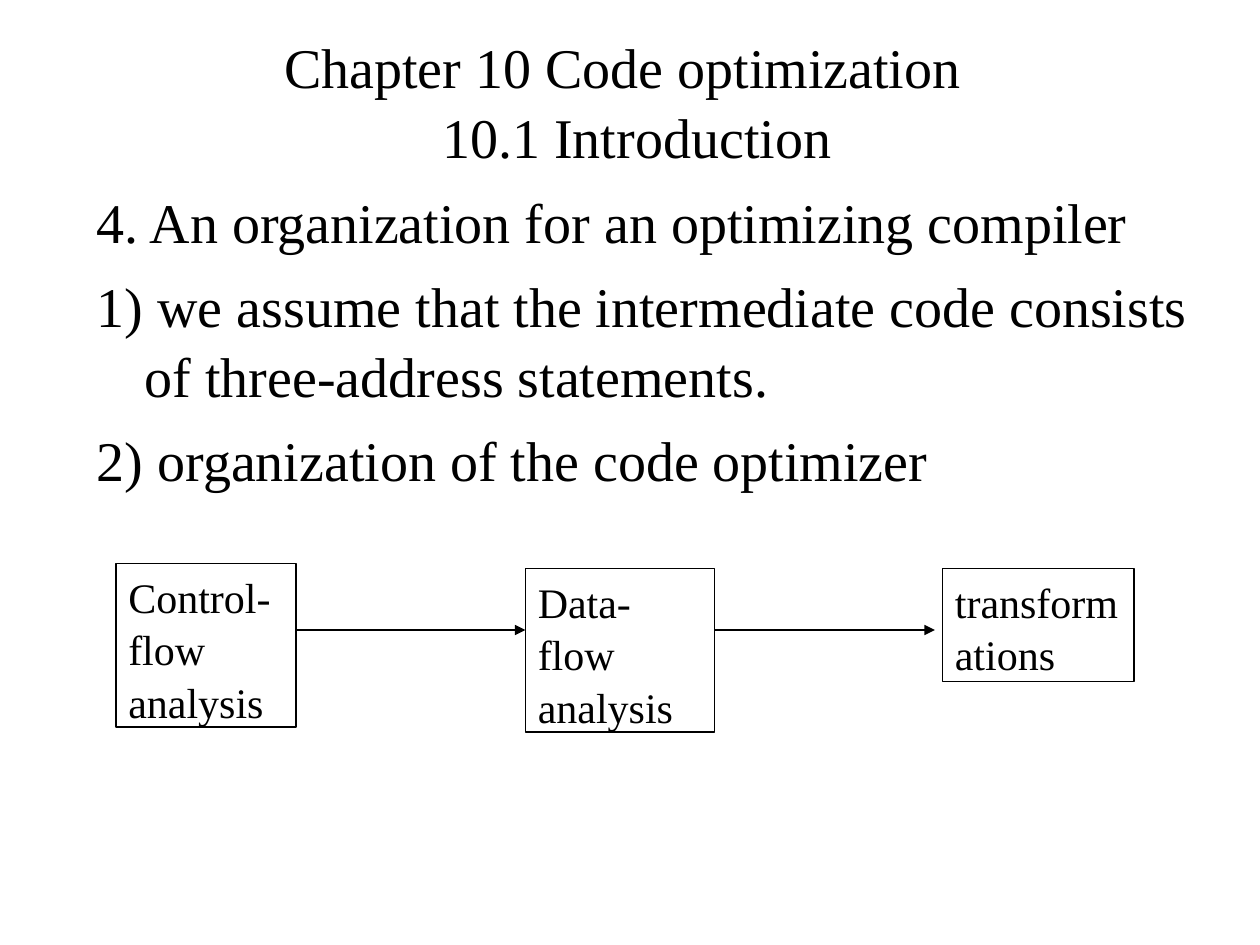
from typing import NamedTuple

from lxml.etree import SubElement
from pptx import Presentation
from pptx.dml.color import RGBColor
from pptx.enum.shapes import MSO_CONNECTOR, MSO_SHAPE
from pptx.enum.text import MSO_ANCHOR, MSO_AUTO_SIZE, PP_ALIGN
from pptx.oxml.ns import qn
from pptx.util import Inches, Pt

COLORS = {"ink": "000000", "paper": "FFFFFF"}
FONT = "Times New Roman"
LINE_SPACING = 1.04
ARROW_Y = 5
BODY = [
    "4. An organization for an optimizing compiler",
    "1) we assume that the intermediate code consists of three-address statements.",
    "2) organization of the code optimizer",
]


class Stage(NamedTuple):
    text: str
    left: float
    top: float
    width: float
    height: float


class Arrow(NamedTuple):
    start: float
    end: float


STAGES = [
    Stage("Control-flow analysis", 0.92, 4.47, 1.43, 1.3),
    Stage("Data-flow analysis", 4.17, 4.51, 1.5, 1.3),
    Stage("transformations", 7.48, 4.51, 1.52, 0.9),
]
ARROWS = [Arrow(2.35, 4.17), Arrow(5.67, 7.42)]


def color(name: str) -> RGBColor:
    return RGBColor.from_string(COLORS[name])


def format_text(frame, size: float, align=PP_ALIGN.LEFT, anchor=MSO_ANCHOR.TOP) -> None:
    frame.word_wrap = True
    frame.auto_size = MSO_AUTO_SIZE.NONE
    frame.vertical_anchor = anchor
    for para in frame.paragraphs:
        para.alignment = align
        para.line_spacing = LINE_SPACING
        for span in para.runs:
            span.font.name = FONT
            span.font.size = Pt(size)
            span.font.color.rgb = color("ink")


def add_title(page) -> None:
    title = page.shapes.title
    title.left, title.top = Inches(0.75), Inches(0.17)
    title.width, title.height = Inches(8.5), Inches(1.25)
    title.text_frame.text = "Chapter 10 Code optimization \v 10.1 Introduction"
    format_text(title.text_frame, 32, PP_ALIGN.CENTER, MSO_ANCHOR.MIDDLE)


def add_body(page) -> None:
    box = page.shapes.add_textbox(Inches(0.67), Inches(1.42), Inches(9), Inches(5.83))
    frame = box.text_frame
    frame.text = "\n".join(BODY)
    format_text(frame, 32)
    for index, para in enumerate(frame.paragraphs):
        para.space_before = Pt(8 if index else 0)
        properties = para._p.get_or_add_pPr()
        properties.set("marL", str(Inches(0.38)))
        properties.set("indent", str(-Inches(0.38)))


def add_stage(page, stage: Stage) -> None:
    box = page.shapes.add_shape(
        MSO_SHAPE.RECTANGLE, *(Inches(length) for length in stage[1:])
    )
    box.shadow.inherit = False
    box.fill.background()
    box.line.color.rgb = color("ink")
    box.line.width = Pt(0.75)
    box.text_frame.text = stage.text
    format_text(box.text_frame, 24)


def add_arrow(page, arrow: Arrow) -> None:
    line = page.shapes.add_connector(
        MSO_CONNECTOR.STRAIGHT,
        Inches(arrow.start), Inches(ARROW_Y), Inches(arrow.end), Inches(ARROW_Y),
    )
    line.line.color.rgb = color("ink")
    line.line.width = Pt(0.75)
    SubElement(line.line._get_or_add_ln(), qn("a:tailEnd"), type="triangle")
    SubElement(line._element.spPr, qn("a:effectLst"))


def main() -> None:
    deck = Presentation()
    deck.slide_width, deck.slide_height = Inches(10), Inches(7.5)
    page = deck.slides.add_slide(deck.slide_layouts[5])
    page.background.fill.solid()
    page.background.fill.fore_color.rgb = color("paper")
    add_title(page)
    add_body(page)
    for stage in STAGES:
        add_stage(page, stage)
    for arrow in ARROWS:
        add_arrow(page, arrow)
    deck.save("out.pptx")


if __name__ == "__main__":
    main()
